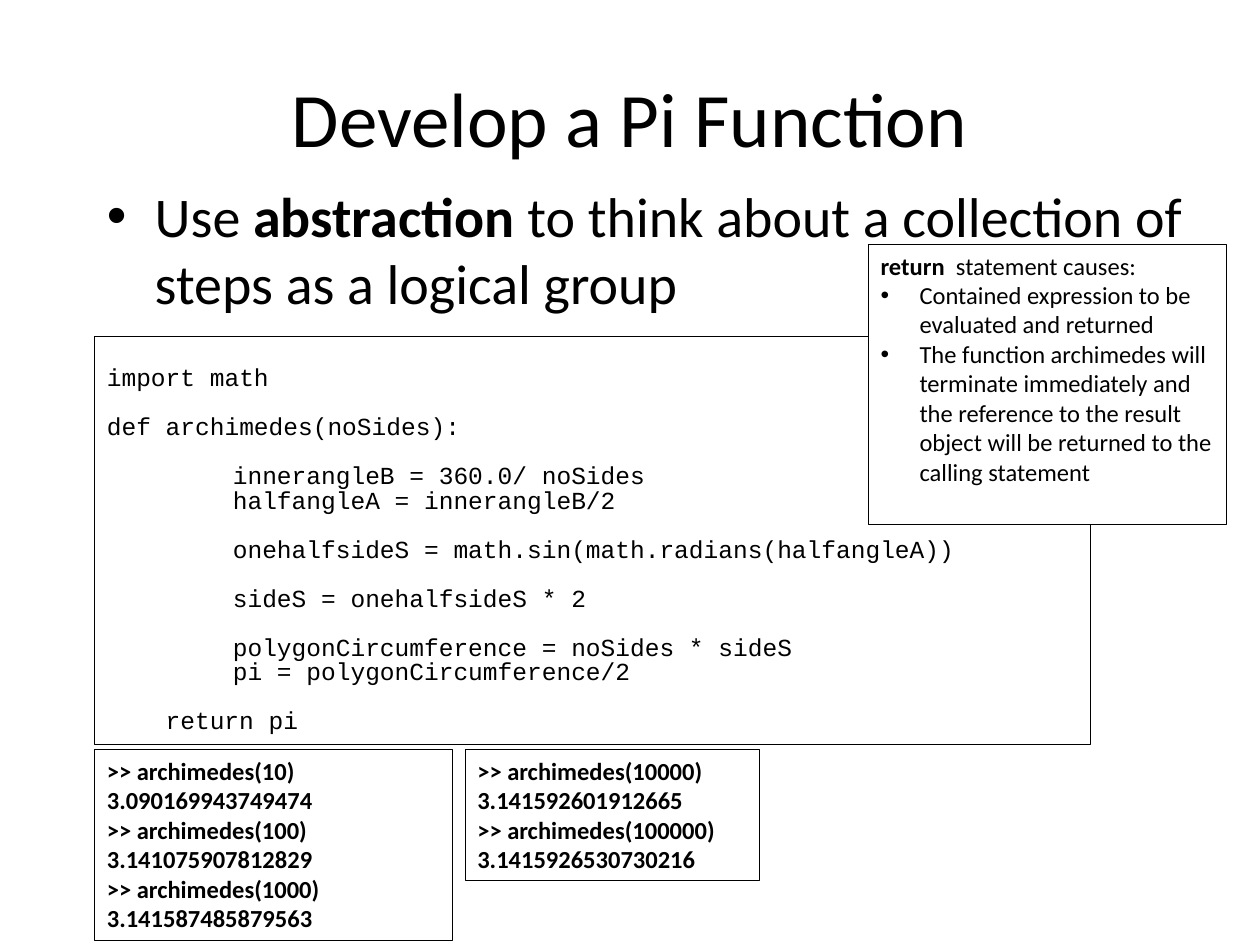
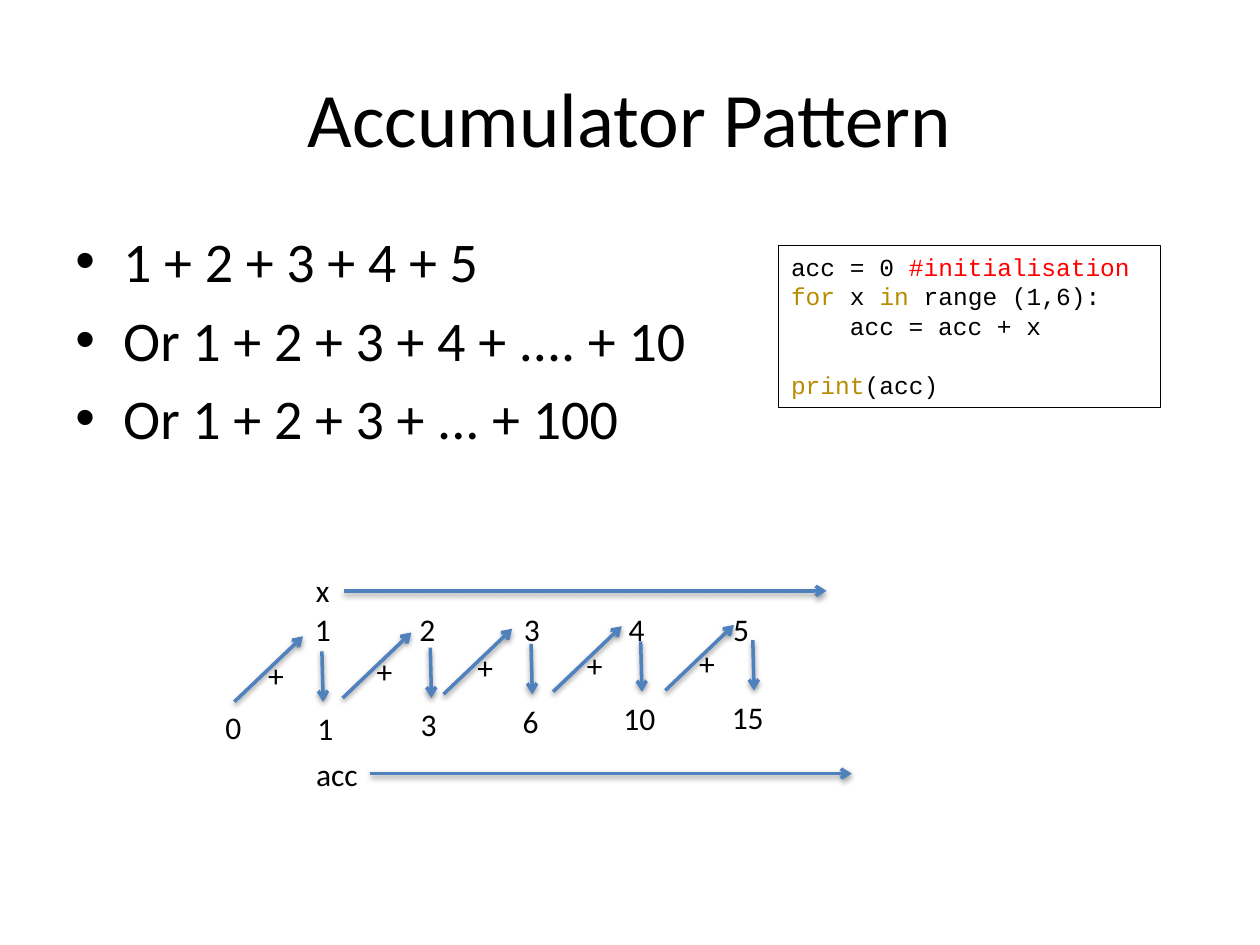
from dataclasses import dataclass

from lxml import etree
from pptx import Presentation
from pptx.dml.color import RGBColor
from pptx.enum.shapes import MSO_CONNECTOR, MSO_SHAPE
from pptx.enum.text import MSO_ANCHOR, PP_ALIGN
from pptx.oxml.ns import qn
from pptx.util import Inches, Pt

RECT = MSO_SHAPE.RECTANGLE
LINE = MSO_CONNECTOR.STRAIGHT
TOP, MID = MSO_ANCHOR.TOP, MSO_ANCHOR.MIDDLE
LEFT, MIDST = PP_ALIGN.LEFT, PP_ALIGN.CENTER

WIDE, HIGH = Inches(10), Inches(7.5)
COLS = 100
UNIT = WIDE / COLS


@dataclass(frozen=True)
class Theme:
    sans: str = "Calibri"
    mono: str = "Courier New"
    ink: str = "000000"
    paper: str = "FFFFFF"
    note: str = "FF0000"
    key: str = "B88C00"
    arrow: str = "4F81BD"
    title: int = 44
    body: int = 32
    label: int = 18
    small: int = 14
    lead: float = 6.4
    hair: float = 0.25
    stroke: float = 2


@dataclass(frozen=True)
class Para:
    runs: tuple
    left: float = 0
    gap: float = 0
    dot: bool = False
    tabs: tuple = ()


LOOK = Theme()


def span(cells):
    return round(cells * UNIT)


def tint(code):
    return RGBColor.from_string(code)


def line(*runs, **kind):
    return Para(runs, **kind)


def child(node, tag, **attrs):
    return etree.SubElement(node, qn(tag), {k: str(v) for k, v in attrs.items()})


def shape_para(para, item):
    props = para._p.get_or_add_pPr()
    if item.left:
        props.set("marL", str(span(item.left)))
    if item.dot:
        props.set("indent", str(-span(item.left)))
        child(props, "a:buFont", typeface="Arial")
        child(props, "a:buChar", char="•")
    if item.tabs:
        stops = child(props, "a:tabLst")
        for stop in item.tabs:
            child(stops, "a:tab", pos=span(stop), algn="l")


def write(frame, items, size, face=LOOK.sans, bold=False, align=LEFT, lead=None):
    frame.word_wrap = True
    for pos, item in enumerate(items):
        para = frame.add_paragraph() if pos else frame.paragraphs[0]
        shape_para(para, item)
        para.alignment = align
        if item.gap:
            para.space_before = Pt(item.gap)
        if lead:
            para.line_spacing = Pt(lead)
        font = para.font
        font.name, font.size, font.bold = face, Pt(size), bold
        font.color.rgb = tint(LOOK.ink)
        for part in item.runs:
            text, mark = part if isinstance(part, tuple) else (part, None)
            run = para.add_run()
            run.text = text
            if mark == "bold":
                run.font.bold = True
            elif mark:
                run.font.color.rgb = tint(mark)


def words(slide, place, items, size, anchor=TOP, **style):
    box = slide.shapes.add_textbox(*map(span, place))
    box.text_frame.vertical_anchor = anchor
    write(box.text_frame, items, size, **style)


def panel(slide, place, items, fill=None, inset=0.5, **style):
    box = slide.shapes.add_shape(RECT, *map(span, place))
    box.shadow.inherit = False
    if fill:
        box.fill.solid()
        box.fill.fore_color.rgb = tint(fill)
    else:
        box.fill.background()
    box.line.color.rgb = tint(LOOK.ink)
    box.line.width = Pt(LOOK.hair)
    box.text_frame.vertical_anchor = TOP
    box.text_frame.margin_top = span(inset)
    write(box.text_frame, items, LOOK.small, **style)


def arrow(slide, *ends):
    link = slide.shapes.add_connector(LINE, *map(span, ends))
    link.line.color.rgb = tint(LOOK.arrow)
    link.line.width = Pt(LOOK.stroke)
    child(link.line._get_or_add_ln(), "a:tailEnd", type="arrow")
    glow = child(child(link._element.spPr, "a:effectLst"), "a:outerShdw",
                 blurRad=Pt(3.1), dist=Pt(1.6), dir=5400000, rotWithShape=0)
    child(child(glow, "a:srgbClr", val=LOOK.ink), "a:alpha", val=38000)


def page(deck, title):
    slide = deck.slides.add_slide(deck.slide_layouts[6])
    words(slide, (5, 3, 90, 12.5), [line(title)], LOOK.title, MID, align=MIDST)
    return slide


def points(slide, place, rows):
    items = [line(*row, left=3.8, gap=LOOK.lead, dot=True) for row in rows]
    words(slide, place, items, LOOK.body)


def pi_page(deck):
    slide = page(deck, "Develop a Pi Function")
    points(slide, (7.5, 13.9, 93.7, 42.5), [
        ("Use ", ("abstraction", "bold"),
         " to think about a collection of steps as a logical group")])
    row = LOOK.small
    code = [
        line("import math"),
        line("def archimedes(noSides):", gap=row),
        line("innerangleB = 360.0/ noSides", left=10, gap=row),
        line("halfangleA = innerangleB/2", left=10),
        line("onehalfsideS = math.sin(math.radians(halfangleA))", left=10, gap=row),
        line("sideS = onehalfsideS * 2", left=10, gap=row),
        line("polygonCircumference = noSides * sideS", left=10, gap=row),
        line("pi = polygonCircumference/2", left=10),
        line("return pi", left=4.67, gap=row),
    ]
    panel(slide, (7.5, 26.7, 79, 32.4), code, inset=2.44, face=LOOK.mono, lead=row)
    panel(slide, (68.9, 19.4, 28.4, 22.2), [
        line(("return ", "bold"), " statement causes:"),
        line("Contained expression to be evaluated and returned", left=3.1, dot=True),
        line("The function archimedes will terminate immediately and the reference "
             "to the result object will be returned to the calling statement",
             left=3.1, dot=True),
    ], LOOK.paper)
    tests = [
        ((7.5, 59.5, 28.4, 15.1), {10: "3.090169943749474", 100: "3.141075907812829",
                                   1000: "3.141587485879563"}),
        ((36.9, 59.5, 23.4, 10.4), {10000: "3.141592601912665",
                                    100000: "3.1415926530730216"}),
    ]
    for place, calls in tests:
        rows = [line(text) for sides, value in calls.items()
                for text in (f">> archimedes({sides})", value)]
        panel(slide, place, rows, LOOK.paper, bold=True)


def trace(slide):
    tall = 4
    words(slide, (24.1, 44.8, 3.3, tall), [line("x")], LOOK.label)
    stops = tuple(8.3 * n for n in range(1, 5))
    words(slide, (24, 47.9, 57.3, tall), [line("1\t2\t3\t4\t5", tabs=stops)], LOOK.label)
    arrow(slide, 27.3, 46.9, 65.6, 46.9)
    words(slide, (24.1, 59.4, 5.9, tall), [line("acc")], LOOK.label)
    arrow(slide, 29.4, 61.4, 67.6, 61.4)
    words(slide, (16.9, 55.7, 3.4, tall), [line("0")], LOOK.label)
    steps = [(18.6, 55.7, 24.2), (27.2, 55.4, 32.4), (35.2, 55.1, 40.5),
             (43.9, 54.9, 48.5), (52.8, 54.8, 57.1)]
    total = 0
    for num, (x, y, foot) in enumerate(steps, 1):
        total += num
        arrow(slide, x, y, x + 5.45, y - 5.2)
        words(slide, (x + 1.7, y - 4.15, 3.5, tall), [line("+")], LOOK.label)
        arrow(slide, x + 6.95, y - 4, x + 7.05, y)
        wide = 3.4 if total < 10 else 6.4
        words(slide, (foot, y + 0.1, wide, tall), [line(str(total))], LOOK.label)


def sum_page(deck):
    slide = page(deck, "Accumulator Pattern")
    points(slide, (5, 17.5, 90, 49.5), [
        ("1 + 2 + 3 + 4 + 5",),
        ("Or 1 + 2 + 3 + 4 + .... + 10",),
        ("Or 1 + 2 + 3 + ... + 100",)])
    panel(slide, (61.8, 19.5, 30.3, 12.8), [
        line("acc = 0 ", ("#initialisation", LOOK.note)),
        line(("for", LOOK.key), " x ", ("in", LOOK.key), " range (1,6):"),
        line("acc = acc + x", left=4.67),
        line(("print", LOOK.key), "(acc)", gap=17),
    ], face=LOOK.mono)
    trace(slide)


def main():
    deck = Presentation()
    deck.slide_width, deck.slide_height = WIDE, HIGH
    pi_page(deck)
    sum_page(deck)
    deck.save("out.pptx")


main()
